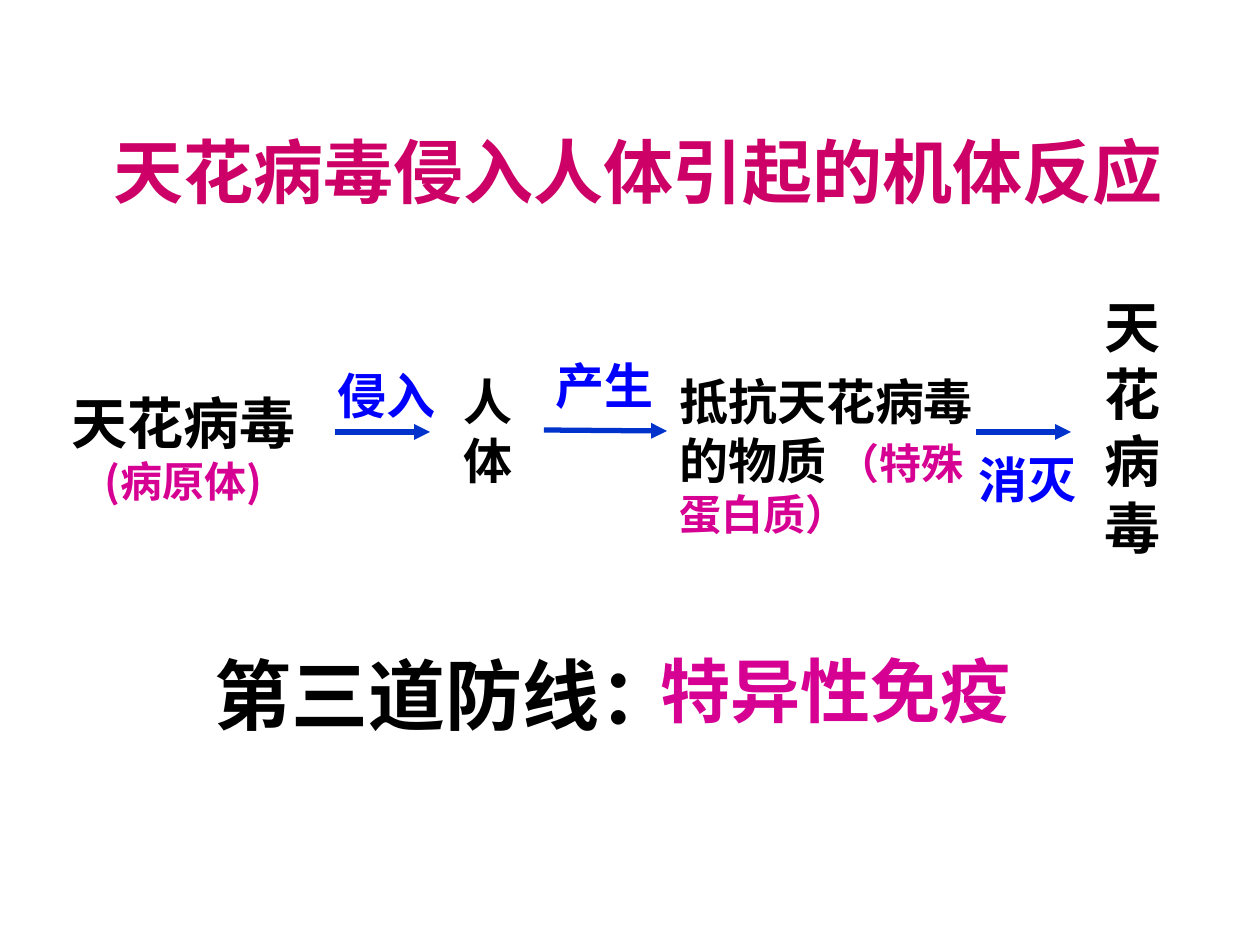
from dataclasses import dataclass

from lxml import etree
from pptx import Presentation
from pptx import util as u
from pptx.dml.color import RGBColor
from pptx.enum import shapes, text
from pptx.oxml import ns

PX = u.Inches(1) // 126


@dataclass(frozen=True)
class Theme:
    font: str = "Noto Sans CJK SC"
    ink: str = "000000"
    title: str = "CC0066"
    pink: str = "D60093"
    verb: str = "0000FF"
    arrow: str = "0033CC"
    huge: int = 44
    head: int = 40
    large: int = 32
    body: int = 28
    note: int = 24


class Slide:
    def __init__(self, page, theme):
        self.page, self.theme = page, theme

    def fill(self, shape, runs, align=text.PP_ALIGN.LEFT):
        frame = shape.text_frame
        style = {"word_wrap": True, "auto_size": text.MSO_AUTO_SIZE.NONE,
                 "vertical_anchor": text.MSO_ANCHOR.TOP}
        for key, value in style.items():
            setattr(frame, key, value)
        para = frame.paragraphs[0]
        para.alignment = align
        for words, size, color in runs:
            run = para.add_run()
            run.text = words
            form = {"name": self.theme.font, "size": u.Pt(size), "bold": True}
            for key, value in form.items():
                setattr(run.font, key, value)
            run.font.color.rgb = RGBColor.from_string(color)
            east = etree.SubElement(run.font._element, ns.qn("a:ea"))
            east.set("typeface", self.theme.font)

    def title(self, box, words):
        shape = self.page.shapes.title
        for key, value in zip(("left", "top", "width", "height"), box):
            setattr(shape, key, value * PX)
        self.fill(shape, [(words, self.theme.head, self.theme.title)])

    def label(self, box, *runs, align=text.PP_ALIGN.LEFT):
        shape = self.page.shapes.add_textbox(*(n * PX for n in box))
        self.fill(shape, runs, align)

    def arrow(self, *ends):
        line = self.page.shapes.add_connector(
            shapes.MSO_CONNECTOR.STRAIGHT, *(n * PX for n in ends))
        line.line.width = u.Pt(3)
        line.line.color.rgb = RGBColor.from_string(self.theme.arrow)
        tail = etree.SubElement(line.line._get_or_add_ln(), ns.qn("a:tailEnd"))
        tail.set("type", "triangle")
        etree.SubElement(line._element.spPr, ns.qn("a:effectLst"))

    def step(self, box, verb, ends):
        self.label(box, (verb, self.theme.body, self.theme.verb))
        self.arrow(*ends)


def main():
    deck = Presentation()
    deck.slide_width, deck.slide_height = u.Inches(10), u.Inches(7.5)
    t = Theme()
    s = Slide(deck.slides.add_slide(deck.slide_layouts[5]), t)

    s.title((101, 122, 1135, 97), "天花病毒侵入人体引起的机体反应")
    s.label((42, 382, 283, 131), ("天花病毒", t.large, t.ink),
            ("(病原体)", t.note, t.pink), align=text.PP_ALIGN.CENTER)
    s.label((451, 365, 84, 131), ("人体", t.body, t.ink))
    s.label((667, 365, 340, 181), ("抵抗天花病毒的物质 ", t.body, t.ink),
            ("（特殊蛋白质）", t.note, t.pink))
    s.label((1092, 286, 84, 282), ("天花病毒", t.large, t.ink))

    steps = [
        ((325, 359, 136, 72), "侵入", (335, 432, 430, 432)),
        ((543, 349, 150, 72), "产生", (544, 430, 667, 431)),
        ((966, 443, 126, 72), "消灭", (976, 432, 1071, 432)),
    ]
    for step in steps:
        s.step(*step)

    s.label((202, 641, 598, 106), ("第三道防线：", t.huge, t.ink))
    s.label((648, 641, 449, 97), ("特异性免疫", t.head, t.pink))
    deck.save("out.pptx")


if __name__ == "__main__":
    main()
